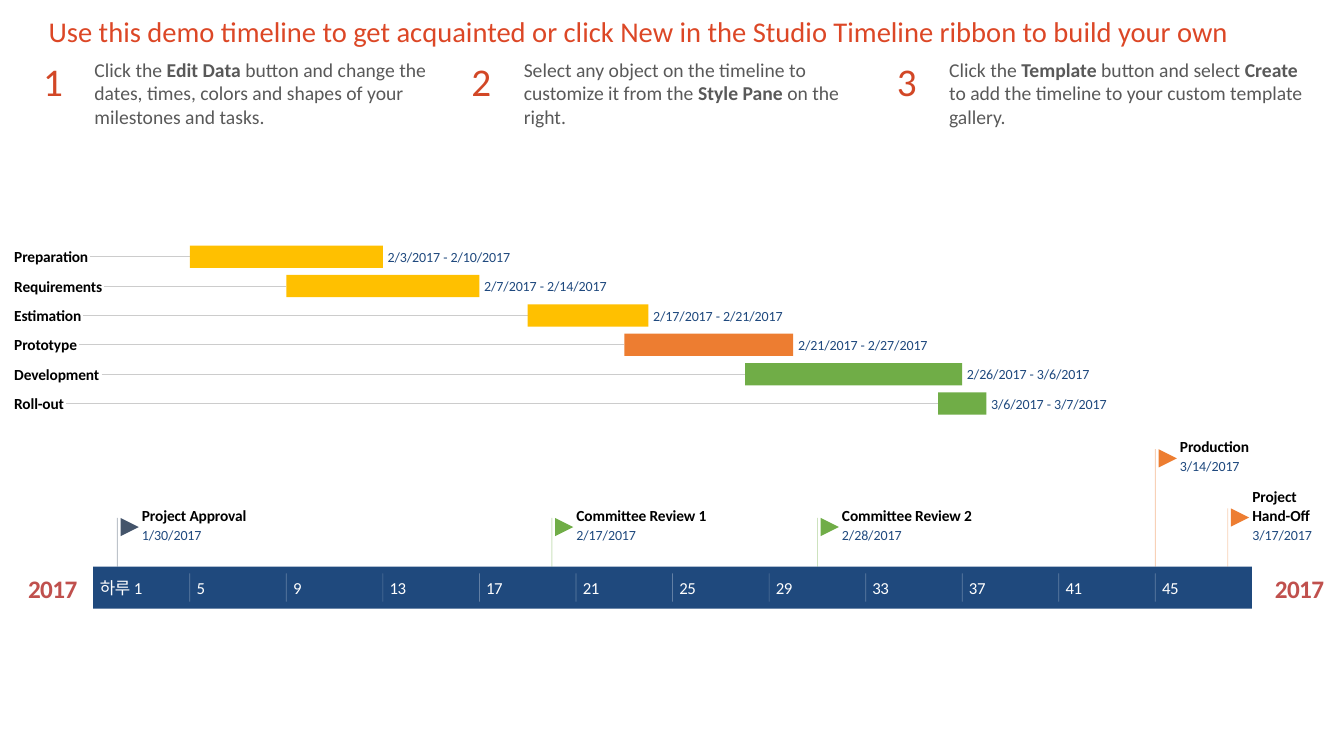
from dataclasses import dataclass, field

from lxml import etree
from pptx import Presentation
from pptx import util as u
from pptx.dml.color import RGBColor
from pptx.enum import shapes, text
from pptx.oxml import ns


@dataclass(frozen=True)
class Theme:
    font: str = "Calibri"
    band: str = "1F497D"
    guide: str = "CCCCCC"
    white: str = "FFFFFF"
    gold: str = "FFC000"
    orange: str = "ED7D31"
    green: str = "70AD47"
    slate: str = "44546A"
    styles: dict = field(default_factory=lambda: {
        "title": (20.4, "DC4726", False, 0),
        "number": (28, "D24726", False, 0),
        "tip": (14, "595959", False, 0),
        "year": (18, "C0504D", True, -40),
        "scale": (12, "FFFFFF", False, -30),
        "name": (11, "000000", True, -10),
        "date": (10, "1F497E", False, -6),
    })


THEME = Theme()
AUTO = text.MSO_AUTO_SIZE
ANCHOR = text.MSO_ANCHOR
ALIGN = text.PP_ALIGN

BAND_LEFT, BAND_TOP, BAND_WIDTH, BAND_HEIGHT = 2.35, 14.28, 29.2, 1.06
DAYS, TICK_STEP = 48, 4
DAY_WIDTH = BAND_WIDTH / DAYS
DAYS_BEFORE_MONTH = {1: -29, 2: 2, 3: 30}
NAME_HEIGHT, DATE_HEIGHT = 0.48, 0.43
TASK_LEFT, TASK_TOP, TASK_PITCH, TASK_HEIGHT = 0.36, 6.19, 0.74, 0.56
FLAG = 0.46

TIPS = [
    (0.84, 2.13, 9.32, "Click the **Edit Data** button and change the dates, times, "
     "colors and shapes of your milestones and tasks."),
    (11.63, 12.95, 8.92, "Select any object on the timeline to customize it from the "
     "**Style Pane** on the right."),
    (22.35, 23.67, 9.47, "Click the **Template** button and select **Create** to add "
     "the timeline to your custom template gallery."),
]
TASKS = [
    ("Preparation", 1.91, "2/3/2017", "2/10/2017", THEME.gold),
    ("Requirements", 2.26, "2/7/2017", "2/14/2017", THEME.gold),
    ("Estimation", 1.73, "2/17/2017", "2/21/2017", THEME.gold),
    ("Prototype", 1.63, "2/21/2017", "2/27/2017", THEME.orange),
    ("Development", 2.2, "2/26/2017", "3/6/2017", THEME.green),
    ("Roll-out", 1.3, "3/6/2017", "3/7/2017", THEME.green),
]
MILESTONES = [
    ("Project Approval", 2.8, 1, 13.26, "1/30/2017", THEME.slate),
    ("Committee Review 1", 3.45, 1, 13.26, "2/17/2017", THEME.green),
    ("Committee Review 2", 3.45, 1, 13.26, "2/28/2017", THEME.green),
    ("Production", 1.9, 1, 11.53, "3/14/2017", THEME.orange),
    ("Project Hand-Off", 1.5, 2, 13.26, "3/17/2017", THEME.orange),
]


def day_number(date):
    month, day = map(int, date.split("/")[:2])
    return day + DAYS_BEFORE_MONTH[month]


def day_end(day):
    return BAND_LEFT + day * DAY_WIDTH


def set_attrs(obj, values):
    for key, value in values.items():
        setattr(obj, key, value)


def write(tf, words, style, **frame):
    set_attrs(tf, frame)
    size, color, bold, spacing = THEME.styles[style]
    p = tf.paragraphs[0]
    p.alignment = ALIGN.CENTER if style == "year" else ALIGN.LEFT
    for i, part in enumerate(words.split("**")):
        r = p.add_run()
        r.text = part
        set_attrs(r.font, {"name": THEME.font, "size": u.Pt(size),
                           "bold": bold or i % 2 == 1})
        r.font.color.rgb = RGBColor.from_string(color)
        if spacing:
            r.font._element.set("spc", str(spacing))


def add_text(s, box, words, style, inset=True, **frame):
    tf = s.shapes.add_textbox(*map(u.Cm, box)).text_frame
    values = {"word_wrap": True, "auto_size": AUTO.SHAPE_TO_FIT_TEXT}
    if not inset:
        values["vertical_anchor"] = ANCHOR.MIDDLE
        sides = ("left", "top", "right", "bottom")
        values.update({f"margin_{side}": 0 for side in sides})
    write(tf, words, style, **{**values, **frame})


def add_block(s, kind, box, color, rotation=0):
    sp = s.shapes.add_shape(kind, *map(u.Cm, box))
    set_attrs(sp, {"rotation": rotation})
    sp.shadow.inherit = False
    sp.fill.solid()
    sp.fill.fore_color.rgb = RGBColor.from_string(color)
    sp.line.fill.background()


def add_line(s, start, end, color, width=0.6, opacity=100):
    line = s.shapes.add_connector(shapes.MSO_CONNECTOR.STRAIGHT,
                                  *map(u.Cm, (*start, *end)))
    line.line.width = u.Pt(width)
    line.line.color.rgb = RGBColor.from_string(color)
    props = line._element.spPr
    if opacity < 100:
        rgb = props.find(".//" + ns.qn("a:srgbClr"))
        etree.SubElement(rgb, ns.qn("a:alpha")).set("val", str(opacity * 1000))
    etree.SubElement(props, ns.qn("a:effectLst"))


def add_title(s, words):
    title = s.shapes.title
    set_attrs(title, {"left": u.Cm(0.97), "top": u.Cm(0.2),
                      "width": u.Cm(31.37), "height": u.Cm(1.14)})
    write(title.text_frame, words, "title", word_wrap=True,
          auto_size=AUTO.NONE, vertical_anchor=ANCHOR.BOTTOM)


def add_tip(s, number, number_left, left, width, words):
    add_text(s, (left, 1.33, width, 2.06), words, "tip")
    add_text(s, (number_left, 1.32, 1.02, 1.45), str(number), "number",
             word_wrap=False)


def add_scale(s):
    add_block(s, shapes.MSO_SHAPE.RECTANGLE,
              (BAND_LEFT, BAND_TOP, BAND_WIDTH, BAND_HEIGHT), THEME.band)
    for left in (0.53, 31.95):
        add_text(s, (left, 14.43, 1.6, 0.79), "2017", "year", False,
                 word_wrap=False, auto_size=AUTO.NONE)
    for day in range(1, DAYS - TICK_STEP + 2, TICK_STEP):
        x = day_end(day - 1)
        label, width = str(day), 0.21 * len(str(day))
        if day == 1:
            label, width = "하루 1", 1.17
        else:
            add_line(s, (x, BAND_TOP + 0.17), (x, BAND_TOP + 0.88),
                     THEME.white, 0.5, 30)
        add_text(s, (x + 0.17, 14.55, width, 0.51), label, "scale", False,
                 word_wrap=False, auto_size=AUTO.NONE)


def add_task(s, row, name, name_width, start, finish, color):
    top = TASK_TOP + row * TASK_PITCH
    middle = top + TASK_HEIGHT / 2
    left, right = day_end(day_number(start) - 1), day_end(day_number(finish))
    add_line(s, (TASK_LEFT + name_width, middle), (left, middle), THEME.guide)
    add_block(s, shapes.MSO_SHAPE.RECTANGLE,
              (left, top, right - left, TASK_HEIGHT), color)
    add_text(s, (right + 0.12, middle - DATE_HEIGHT / 2, 3.6, DATE_HEIGHT),
             f"{start} - {finish}", "date", False)
    add_text(s, (TASK_LEFT, middle - NAME_HEIGHT / 2, name_width + 0.1, NAME_HEIGHT),
             name, "name", False)


def add_milestone(s, name, width, lines, date_top, date, color):
    x = day_end(day_number(date))
    name_height = NAME_HEIGHT * lines
    name_top = date_top - 0.03 - name_height
    flag_top = (name_top + date_top + DATE_HEIGHT) / 2 + 0.06 - FLAG / 2
    add_line(s, (x, flag_top), (x, BAND_TOP), color, opacity=35)
    add_block(s, shapes.MSO_SHAPE.FLOWCHART_MERGE,
              (x + 0.08, flag_top, FLAG, FLAG), color, 270)
    add_text(s, (x + 0.62, name_top, width, name_height), name, "name", False)
    add_text(s, (x + 0.62, date_top, 1.7, DATE_HEIGHT), date, "date", False)


def main():
    prs = Presentation()
    set_attrs(prs, {"slide_width": u.Cm(33.87), "slide_height": u.Cm(19.05)})
    s = prs.slides.add_slide(prs.slide_layouts[5])
    add_title(s, "Use this demo timeline to get acquainted or click New in the "
                 "Studio Timeline ribbon to build your own")
    for number, tip in enumerate(TIPS, 1):
        add_tip(s, number, *tip)
    for row, task in enumerate(TASKS):
        add_task(s, row, *task)
    for milestone in MILESTONES:
        add_milestone(s, *milestone)
    add_scale(s)
    prs.save("out.pptx")


main()
